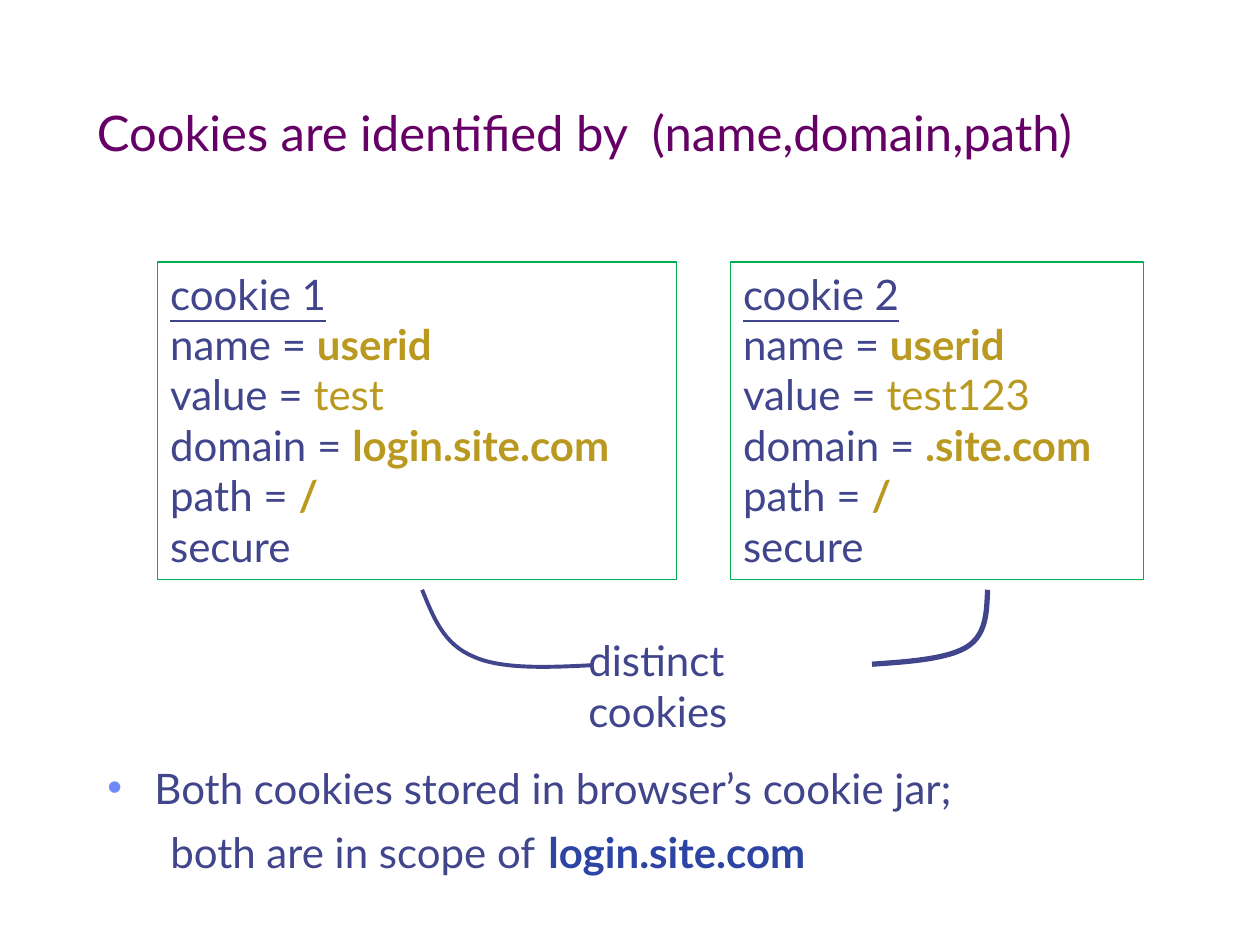
from lxml.etree import SubElement
from pptx import Presentation
from pptx.dml.color import RGBColor
from pptx.enum.shapes import MSO_SHAPE
from pptx.enum.text import MSO_ANCHOR, MSO_AUTO_SIZE, PP_ALIGN
from pptx.oxml.ns import qn
from pptx.util import Cm, Pt

PURPLE = RGBColor(0x66, 0x00, 0x66)
INDIGO = RGBColor(0x40, 0x45, 0x8C)
GOLD = RGBColor(0xBA, 0x99, 0x21)
BLUE = RGBColor(0x2D, 0x44, 0xA4)
GREEN = RGBColor(0x00, 0xB0, 0x50)
BULLET = "6F89F7"


def place(sp, left, top, width, height):
    box = dict(left=left, top=top, width=width, height=height)
    for name, value in box.items():
        setattr(sp, name, Cm(value))


def format_frame(tf, anchor=MSO_ANCHOR.TOP, auto_size=MSO_AUTO_SIZE.NONE):
    values = dict(word_wrap=True, vertical_anchor=anchor, auto_size=auto_size)
    for name, value in values.items():
        setattr(tf, name, value)


def add_run(p, text, color=INDIGO, size=24, **extra):
    r = p.add_run()
    r.text = text
    r.font.color.rgb = color
    values = dict(name="Lato", size=Pt(size), **extra)
    for name, value in values.items():
        setattr(r.font, name, value)


def next_paragraph(tf, index):
    p = tf.add_paragraph() if index else tf.paragraphs[0]
    p.alignment = PP_ALIGN.LEFT
    return p


def set_bullet(p, char, indent):
    pPr = p._p.get_or_add_pPr()
    pPr.set("marL", str(Cm(indent)))
    pPr.set("indent", str(-Cm(indent)))
    clr = SubElement(pPr, qn("a:buClr"))
    SubElement(clr, qn("a:srgbClr"), val=BULLET)
    SubElement(pPr, qn("a:buFont"), typeface="Arial")
    SubElement(pPr, qn("a:buChar"), char=char)


def set_tabs(p, stops):
    pPr = p._p.get_or_add_pPr()
    pPr.set("marL", "0")
    pPr.set("indent", "0")
    SubElement(pPr, qn("a:buNone"))
    tabs = SubElement(pPr, qn("a:tabLst"))
    for stop in stops:
        SubElement(tabs, qn("a:tab"), pos=str(Cm(stop)), algn="l")


def fill_title(sp, text):
    place(sp, 1.7, 0.84, 21.59, 2.54)
    format_frame(sp.text_frame, MSO_ANCHOR.BOTTOM)
    add_run(next_paragraph(sp.text_frame, 0), text, PURPLE, 28)


def fill_body(sp):
    place(sp, 1.91, 15.24, 21.59, 2.97)
    tf = sp.text_frame
    format_frame(tf)
    p = next_paragraph(tf, 0)
    p.space_before = Pt(0)
    set_bullet(p, "•", 0.95)
    add_run(p, "Both cookies stored in browser’s cookie jar;")
    p = next_paragraph(tf, 1)
    p.space_before = Pt(8)
    set_tabs(p, (3.51, 11.71))
    add_run(p, "\tboth are in scope of\t")
    add_run(p, "login.site.com", BLUE, bold=True)


def add_cookie(s, left, width, heading, value, domain):
    sp = s.shapes.add_shape(MSO_SHAPE.RECTANGLE, Cm(left), Cm(5.28), Cm(width), Cm(6.4))
    sp.shadow.inherit = False
    sp.fill.background()
    sp.line.color.rgb = GREEN
    sp.line.width = Pt(0.75)
    tf = sp.text_frame
    format_frame(tf, auto_size=MSO_AUTO_SIZE.SHAPE_TO_FIT_TEXT)
    add_run(next_paragraph(tf, 0), heading, underline=True)
    fields = (("name", "userid"), ("value", value), ("domain", domain), ("path", "/"))
    for i, (key, text) in enumerate(fields, 1):
        p = next_paragraph(tf, i)
        add_run(p, f"{key} = ")
        add_run(p, text, GOLD, bold=key != "value")
    add_run(next_paragraph(tf, len(fields) + 1), "secure")


def add_label(s, text, *box):
    sp = s.shapes.add_textbox(*map(Cm, box))
    format_frame(sp.text_frame, auto_size=MSO_AUTO_SIZE.SHAPE_TO_FIT_TEXT)
    add_run(next_paragraph(sp.text_frame, 0), text)


def add_curve(s, points, width):
    start, *rest = [(Cm(x), Cm(y)) for x, y in points]
    fb = s.shapes.build_freeform(*start)
    fb.add_line_segments(rest, close=False)
    sp = fb.convert_to_shape()
    sp.shadow.inherit = False
    sp.fill.background()
    sp.line.color.rgb = INDIGO
    sp.line.width = Pt(width)
    outline = next(sp._element.iter(qn("a:path")))
    segments = outline.findall(qn("a:lnTo"))
    for i, segment in enumerate(segments):
        if i % 3 == 0:
            bezier = SubElement(outline, qn("a:cubicBezTo"))
        bezier.append(segment[0])
        outline.remove(segment)


def main():
    prs = Presentation()
    prs.slide_width, prs.slide_height = Cm(25.4), Cm(19.05)
    s = prs.slides.add_slide(prs.slide_layouts[1])
    fill_title(s.shapes.title, "Cookies are identified by  (name,domain,path)")
    fill_body(s.placeholders[1])
    add_cookie(s, 3.18, 10.46, "cookie 1", "test", "login.site.com")
    add_cookie(s, 14.73, 8.33, "cookie 2", "test123", ".site.com")
    add_label(s, "distinct cookies", 11.61, 12.67, 6.25, 1.3)
    add_curve(s, ((11.94, 13.41), (11, 13.46), (10.08, 13.49), (9.53, 13.23),
                  (8.94, 12.98), (8.74, 12.45), (8.51, 11.89)), 2.25)
    add_curve(s, ((17.58, 13.39), (18.34, 13.34), (19.13, 13.28), (19.51, 13.03),
                  (19.89, 12.78), (19.89, 12.32), (19.91, 11.89)), 3)
    prs.save("out.pptx")


if __name__ == "__main__":
    main()
